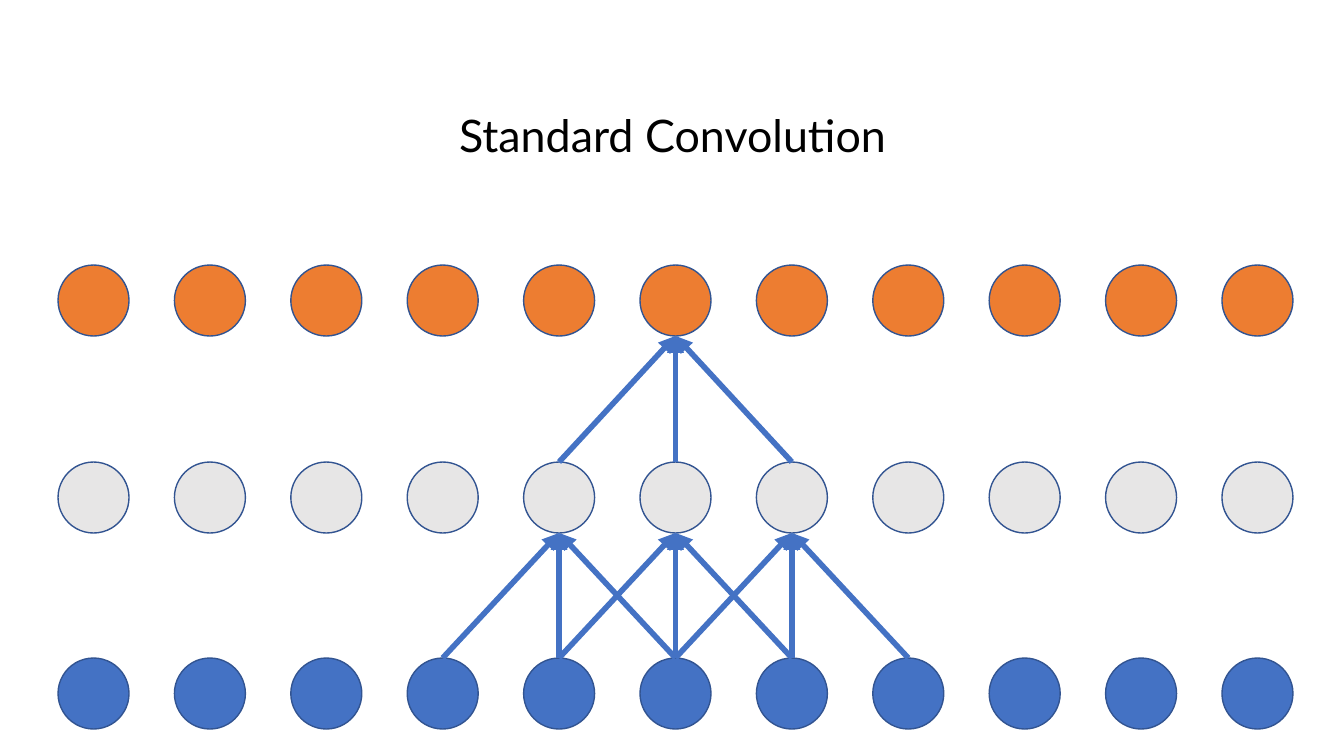
from dataclasses import dataclass

from lxml.etree import SubElement
from pptx import Presentation
from pptx.dml.color import RGBColor
from pptx.enum.shapes import MSO_CONNECTOR, MSO_SHAPE
from pptx.enum.text import MSO_ANCHOR, PP_ALIGN
from pptx.oxml.ns import qn
from pptx.util import Emu, Pt


@dataclass(frozen=True)
class Theme:
    font: str = "Lato"
    title_size: int = 32
    title: str = "000000"
    input: str = "4472C4"
    hidden: str = "E7E6E6"
    output: str = "ED7D31"
    outline: str = "325491"
    outline_width: int = 1
    arrow: str = "4472C4"
    arrow_width: int = 4


THEME = Theme()
TITLE = "Standard Convolution"
TITLE_BOX = (449, 103, 454, 64)
LAYERS = [
    {"top": 658, "fill": THEME.input},
    {"top": 462, "fill": THEME.hidden},
    {"top": 265, "fill": THEME.output},
]
CONVOLUTIONS = [
    {"source": 0, "targets": (5, 4, 6)},
    {"source": 1, "targets": (5,)},
]
KERNEL_OFFSETS = (0, -1, 1)
NODE_COUNT = 11
FIRST_LEFT, LAST_LEFT = 58, 1222
DIAMETER = 71
PITCH = (LAST_LEFT - FIRST_LEFT) / (NODE_COUNT - 1)


def px(value):
    return Emu(round(value * 914400 / 100.8))


def node_left(column):
    return FIRST_LEFT + column * PITCH


def node_center(column):
    return node_left(column) + DIAMETER / 2


def add_title(page):
    title = page.shapes.title
    title.left, title.top, title.width, title.height = map(px, TITLE_BOX)
    frame = title.text_frame
    frame.text = TITLE
    frame.word_wrap = False
    frame.vertical_anchor = MSO_ANCHOR.MIDDLE
    para = frame.paragraphs[0]
    para.alignment = PP_ALIGN.LEFT
    para.font.name = THEME.font
    para.font.size = Pt(THEME.title_size)
    para.font.color.rgb = RGBColor.from_string(THEME.title)


def add_node(page, layer, column):
    node = page.shapes.add_shape(
        MSO_SHAPE.OVAL, px(node_left(column)), px(layer["top"]), px(DIAMETER), px(DIAMETER)
    )
    node.shadow.inherit = False
    node.fill.solid()
    node.fill.fore_color.rgb = RGBColor.from_string(layer["fill"])
    node.line.color.rgb = RGBColor.from_string(THEME.outline)
    node.line.width = Pt(THEME.outline_width)


def add_arrow(page, source, source_column, target_column):
    start_y = LAYERS[source]["top"]
    end_y = LAYERS[source + 1]["top"] + DIAMETER
    arrow = page.shapes.add_connector(
        MSO_CONNECTOR.STRAIGHT,
        px(node_center(source_column)), px(start_y),
        px(node_center(target_column)), px(end_y),
    )
    arrow.line.color.rgb = RGBColor.from_string(THEME.arrow)
    arrow.line.width = Pt(THEME.arrow_width)
    properties = arrow.element.spPr
    SubElement(properties.find(qn("a:ln")), qn("a:tailEnd"), type="triangle")
    SubElement(properties, qn("a:effectLst"))


deck = Presentation()
deck.slide_width, deck.slide_height = px(1344), px(756)
page = deck.slides.add_slide(deck.slide_layouts[5])
add_title(page)

for layer in LAYERS:
    for column in range(NODE_COUNT):
        add_node(page, layer, column)

for convolution in CONVOLUTIONS:
    for target in convolution["targets"]:
        for offset in KERNEL_OFFSETS:
            add_arrow(page, convolution["source"], target + offset, target)

deck.save("out.pptx")
